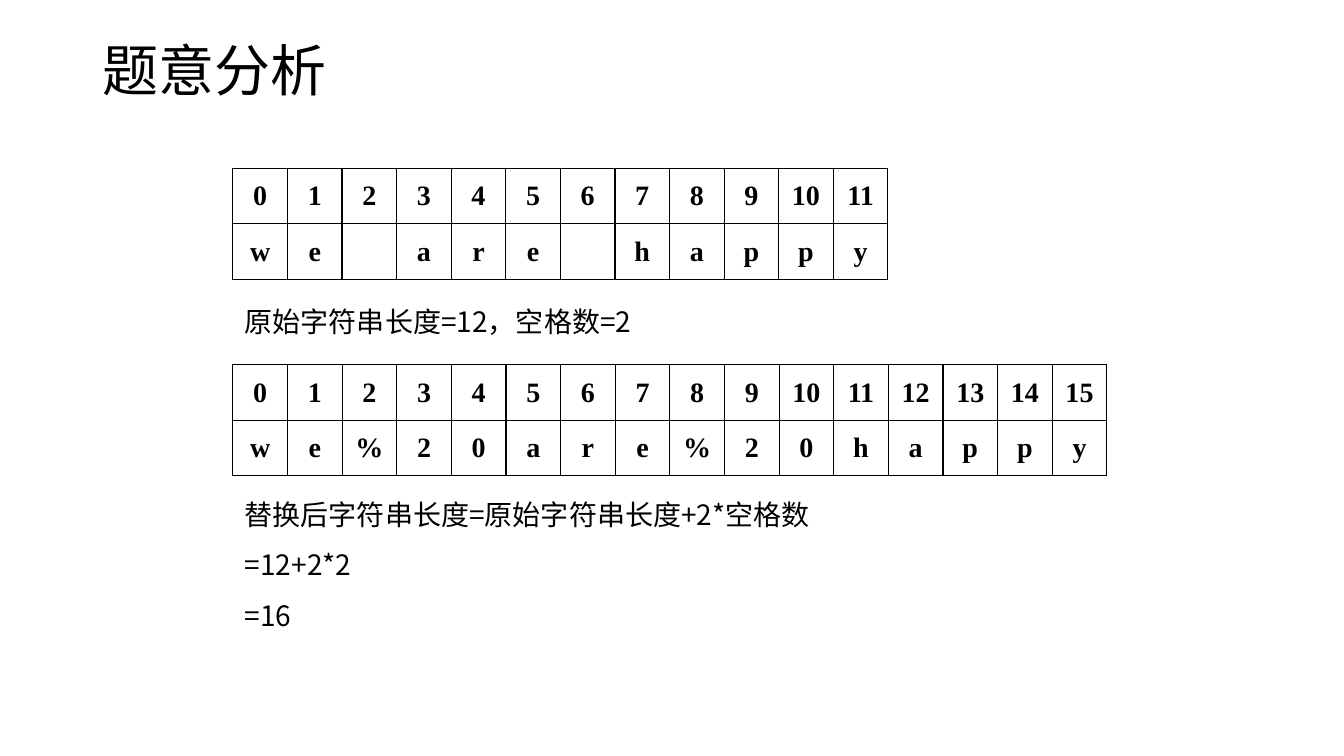
"""Builds a slide that works out the string length after replacing spaces with %20."""
from dataclasses import dataclass

from lxml.etree import SubElement
from pptx import Presentation
from pptx.dml.color import RGBColor
from pptx.enum.text import MSO_ANCHOR, MSO_AUTO_SIZE, PP_ALIGN
from pptx.oxml import parse_xml
from pptx.oxml.ns import nsdecls, qn
from pptx.util import Inches, Pt


@dataclass(frozen=True)
class Theme:
    ink: RGBColor = RGBColor(0, 0, 0)
    paper: RGBColor = RGBColor(255, 255, 255)
    sans: str = "Noto Sans CJK SC"
    serif: str = "Times New Roman"
    title: int = 40
    body: int = 20
    border: int = 1


class Deck:
    def __init__(self, prs, theme):
        self.theme = theme
        self.slide = prs.slides.add_slide(prs.slide_layouts[5])

    def set_attrs(self, obj, values):
        for name, value in values.items():
            setattr(obj, name, value)

    def add_text(self, p, text, font, size, bold=False, **para):
        self.set_attrs(p, para)
        r = p.add_run()
        r.text = text
        self.set_attrs(r.font, {"name": font, "size": Pt(size), "bold": bold})
        r.font.color.rgb = self.theme.ink
        SubElement(r._r.get_or_add_rPr(), qn("a:ea")).set("typeface", font)

    def place(self, sp, left, top, width, height):
        box = dict(left=left, top=top, width=width, height=height)
        self.set_attrs(sp, {k: Inches(v) for k, v in box.items()})

    def title(self, text, *box):
        sp = self.slide.shapes.title
        self.place(sp, *box)
        tf = sp.text_frame
        self.set_attrs(tf, {"vertical_anchor": MSO_ANCHOR.MIDDLE, "word_wrap": True,
                            "auto_size": MSO_AUTO_SIZE.NONE})
        self.add_text(tf.paragraphs[0], text, self.theme.sans, self.theme.title,
                      alignment=PP_ALIGN.LEFT, line_spacing=0.9)

    def text(self, lines, *box):
        tf = self.slide.shapes.add_textbox(*map(Inches, box)).text_frame
        self.set_attrs(tf, {"word_wrap": True, "auto_size": MSO_AUTO_SIZE.SHAPE_TO_FIT_TEXT})
        for i, line in enumerate(lines):
            p = tf.add_paragraph() if i else tf.paragraphs[0]
            self.add_text(p, line, self.theme.sans, self.theme.body, line_spacing=1.5)

    def cell(self, cell, text):
        self.set_attrs(cell, {"vertical_anchor": MSO_ANCHOR.MIDDLE,
                              "margin_left": Inches(0.11), "margin_right": Inches(0.11),
                              "margin_top": Inches(0.06), "margin_bottom": Inches(0.06)})
        cell.fill.solid()
        cell.fill.fore_color.rgb = self.theme.paper
        if text:
            self.add_text(cell.text_frame.paragraphs[0], text, self.theme.serif,
                          self.theme.body, bold=True, alignment=PP_ALIGN.CENTER)
        tcPr = cell._tc.get_or_add_tcPr()
        for i, side in enumerate("LRTB"):
            tcPr.insert(i, parse_xml(
                f'<a:ln{side} {nsdecls("a")} w="{Pt(self.theme.border)}"><a:solidFill>'
                f'<a:srgbClr val="{self.theme.ink}"/></a:solidFill></a:ln{side}>'))

    def string_table(self, string, left, top, width, height):
        rows = [[str(i) for i in range(len(string))], [ch.strip() for ch in string]]
        box = map(Inches, (left, top, width, height))
        table = self.slide.shapes.add_table(len(rows), len(string), *box).table
        self.set_attrs(table, {"first_row": False, "horz_banding": False})
        for i, row in enumerate(rows):
            for j, text in enumerate(row):
                self.cell(table.cell(i, j), text)


prs = Presentation()
prs.slide_width, prs.slide_height = Inches(13.33), Inches(7.5)
deck = Deck(prs, Theme())

original = "we are happy"
replaced = original.replace(" ", "%20")
deck.title("题意分析", 0.92, 0, 11.5, 1.45)
deck.string_table(replaced, 2.31, 3.62, 8.67, 1.1)
deck.text(["原始字符串长度=12，空格数=2"], 2.33, 2.8, 8.67, 0.55)
deck.string_table(original, 2.31, 1.67, 6.5, 1.1)
deck.text(["替换后字符串长度=原始字符串长度+2*空格数", "=12+2*2", "=16"], 2.33, 4.72, 8.67, 1.56)

prs.save("out.pptx")
